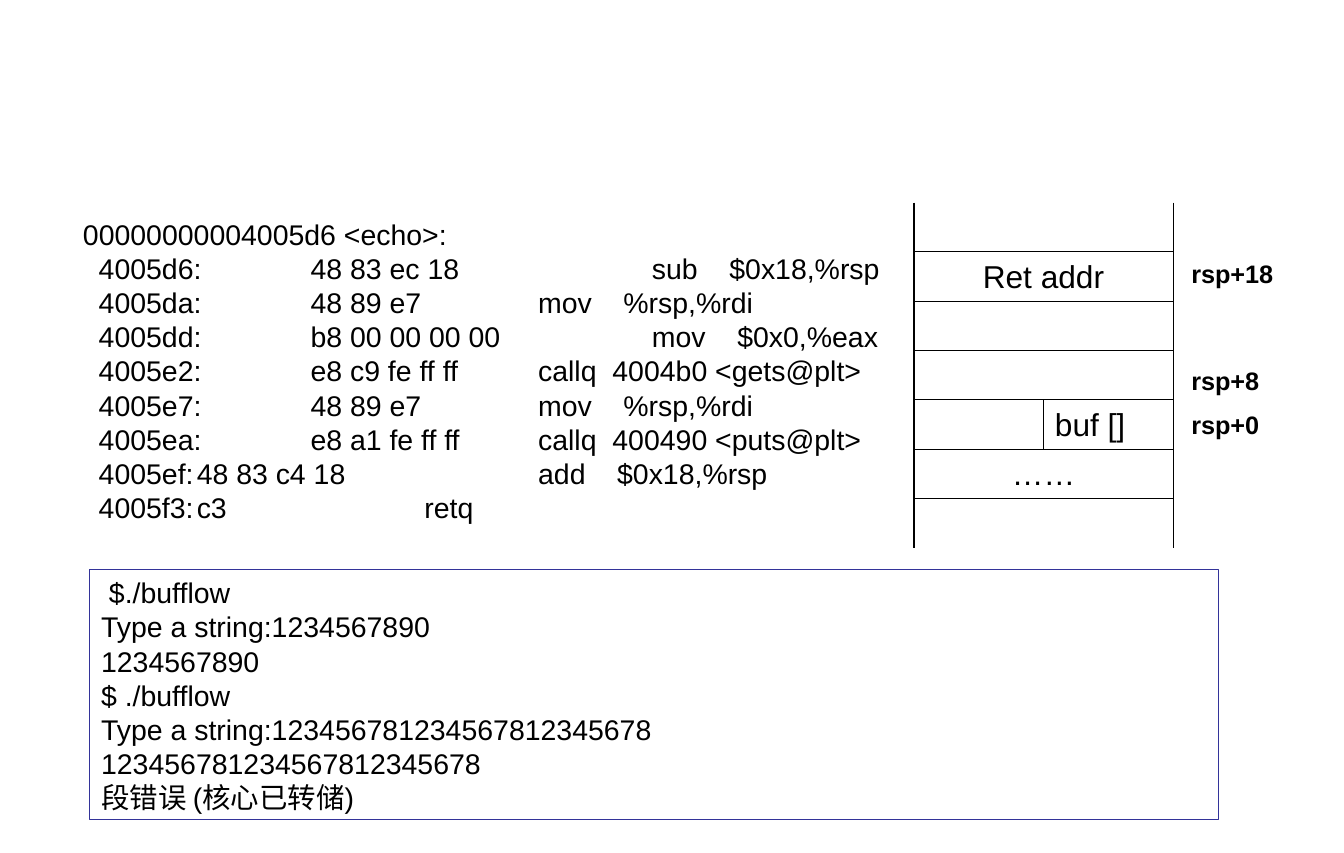
import pptx
import pptx.dml.color
import pptx.enum.shapes
import pptx.enum.text
import pptx.oxml.ns
import pptx.util
from lxml import etree

Pt = pptx.util.Pt
BLACK = pptx.dml.color.RGBColor(0x00, 0x00, 0x00)
INDIGO = pptx.dml.color.RGBColor(0x33, 0x33, 0x99)
ALIGN = pptx.enum.text.PP_ALIGN
FONT = "Arial"
LINE_HEIGHT = 1.2  # exact line height per point of text size

# Each line of code with its tab stops in points
CODE = [
    ("00000000004005d6 <echo>:", ()),
    ("  4005d6:\t48 83 ec 18\tsub\t$0x18,%rsp", (144, 360, 409)),
    ("  4005da:\t48 89 e7\tmov\t%rsp,%rdi", (144, 288, 342)),
    ("  4005dd:\tb8 00 00 00 00\tmov\t$0x0,%eax", (144, 360, 414)),
    ("  4005e2:\te8 c9 fe ff ff\tcallq\t4004b0 <gets@plt>", (144, 288, 335)),
    ("  4005e7:\t48 89 e7\tmov\t%rsp,%rdi", (144, 288, 342)),
    ("  4005ea:\te8 a1 fe ff ff\tcallq\t400490 <puts@plt>", (144, 288, 335)),
    ("  4005ef:\t48 83 c4 18\tadd\t$0x18,%rsp", (72, 288, 338)),
    ("  4005f3:\tc3\tretq", (72, 216)),
]
SESSION = [
    " $./bufflow",
    "Type a string:1234567890",
    "1234567890",
    "$ ./bufflow",
    "Type a string:123456781234567812345678",
    "123456781234567812345678",
    "段错误 (核心已转储)",
]
STACK = [("",), ("Ret addr",), ("",), ("",), ("", "buf []"), ("……",), ("",)]
OFFSETS = [("rsp+18", 162.7, 62.6), ("rsp+8", 230.4, 45.4), ("rsp+0", 258.5, 45.4)]


def add_tab_stops(para, stops):
    tab_list = etree.SubElement(para._p.get_or_add_pPr(), pptx.oxml.ns.qn("a:tabLst"))
    for stop in stops:
        tab = etree.SubElement(tab_list, pptx.oxml.ns.qn("a:tab"))
        tab.set("pos", str(int(Pt(stop))))
        tab.set("algn", "l")


def write_lines(frame, lines, size, bold=False, align=ALIGN.LEFT):
    """Write (text, tab stops) lines into a text frame."""
    frame.text = "\n".join(text for text, _ in lines)
    for para, (_, stops) in zip(frame.paragraphs, lines):
        if stops:
            add_tab_stops(para, stops)
        para.alignment = align
        para.line_spacing = Pt(size * LINE_HEIGHT)
        for span in para.runs:
            span.font.name = FONT
            span.font.size = Pt(size)
            span.font.bold = bold
            span.font.color.rgb = BLACK


def set_up_frame(frame, side, end):
    frame.word_wrap = True
    frame.auto_size = pptx.enum.text.MSO_AUTO_SIZE.SHAPE_TO_FIT_TEXT
    frame.vertical_anchor = pptx.enum.text.MSO_ANCHOR.TOP
    frame.margin_left = frame.margin_right = Pt(side)
    frame.margin_top = frame.margin_bottom = Pt(end)


def add_text(page, left, top, width, height, lines, size, side=7.2, end=3.6, bold=False):
    box = page.shapes.add_textbox(Pt(left), Pt(top), Pt(width), Pt(height))
    set_up_frame(box.text_frame, side, end)
    write_lines(box.text_frame, lines, size, bold)


def add_terminal(page, left, top, width, height, lines):
    box = page.shapes.add_shape(
        pptx.enum.shapes.MSO_SHAPE.RECTANGLE, Pt(left), Pt(top), Pt(width), Pt(height))
    box.shadow.inherit = False
    box.fill.background()
    box.line.color.rgb = INDIGO
    box.line.width = Pt(0.75)
    set_up_frame(box.text_frame, 7.2, 3.6)
    write_lines(box.text_frame, [(line, ()) for line in lines], 18)


def set_borders(cell, left, right, top, bottom):
    """Set the border widths of a cell in points; 0 hides a border."""
    properties = cell._tc.get_or_add_tcPr()
    sides = (("a:lnL", left), ("a:lnR", right), ("a:lnT", top), ("a:lnB", bottom))
    for place, (tag, width) in enumerate(sides):
        line = etree.Element(pptx.oxml.ns.qn(tag))
        line.set("w", str(int(Pt(width))))
        if width:
            fill = etree.SubElement(line, pptx.oxml.ns.qn("a:solidFill"))
            etree.SubElement(fill, pptx.oxml.ns.qn("a:srgbClr")).set("val", str(BLACK))
        else:
            etree.SubElement(line, pptx.oxml.ns.qn("a:noFill"))
        properties.insert(place, line)


def add_stack(page, left, top, column_width, row_height, rows):
    outer, inner = 1.08, 0.45
    last = len(rows) - 1
    table = page.shapes.add_table(
        len(rows), 2, Pt(left), Pt(top),
        Pt(2 * column_width), Pt(len(rows) * row_height)).table
    table.first_row = table.horz_banding = False
    for column in table.columns:
        column.width = Pt(column_width)
    for index, texts in enumerate(rows):
        table.rows[index].height = Pt(row_height)
        whole = len(texts) == 1
        cells = [table.cell(index, 0), table.cell(index, 1)]
        for side, cell in enumerate(cells):
            cell.fill.background()
            set_borders(
                cell,
                outer if side == 0 or whole else inner,
                outer if side == 1 or whole else inner,
                inner if index > 0 else 0,
                inner if index < last else 0)
        if whole:
            cells[0].merge(cells[1])
        for cell, text in zip(cells, texts):
            align = ALIGN.CENTER if whole else ALIGN.LEFT
            write_lines(cell.text_frame, [(text, ())], 20, align=align)


def main():
    deck = pptx.Presentation()
    deck.slide_width, deck.slide_height = Pt(850.4), Pt(540)
    page = deck.slides.add_slide(deck.slide_layouts[6])

    # Disassembly
    add_text(page, 45.4, 133.9, 538.6, 201.6, CODE, 18)

    # Stack frame with its offsets
    add_stack(page, 578.2, 128.2, 82.1, 31.2, STACK)
    for text, top, width in OFFSETS:
        add_text(page, 753.8, top, width, 20.9, [(text, ())], 16,
                 side=0, end=0.72, bold=True)

    # Terminal session
    add_terminal(page, 56.9, 360.7, 714.2, 158.4, SESSION)

    deck.save("out.pptx")


if __name__ == "__main__":
    main()
